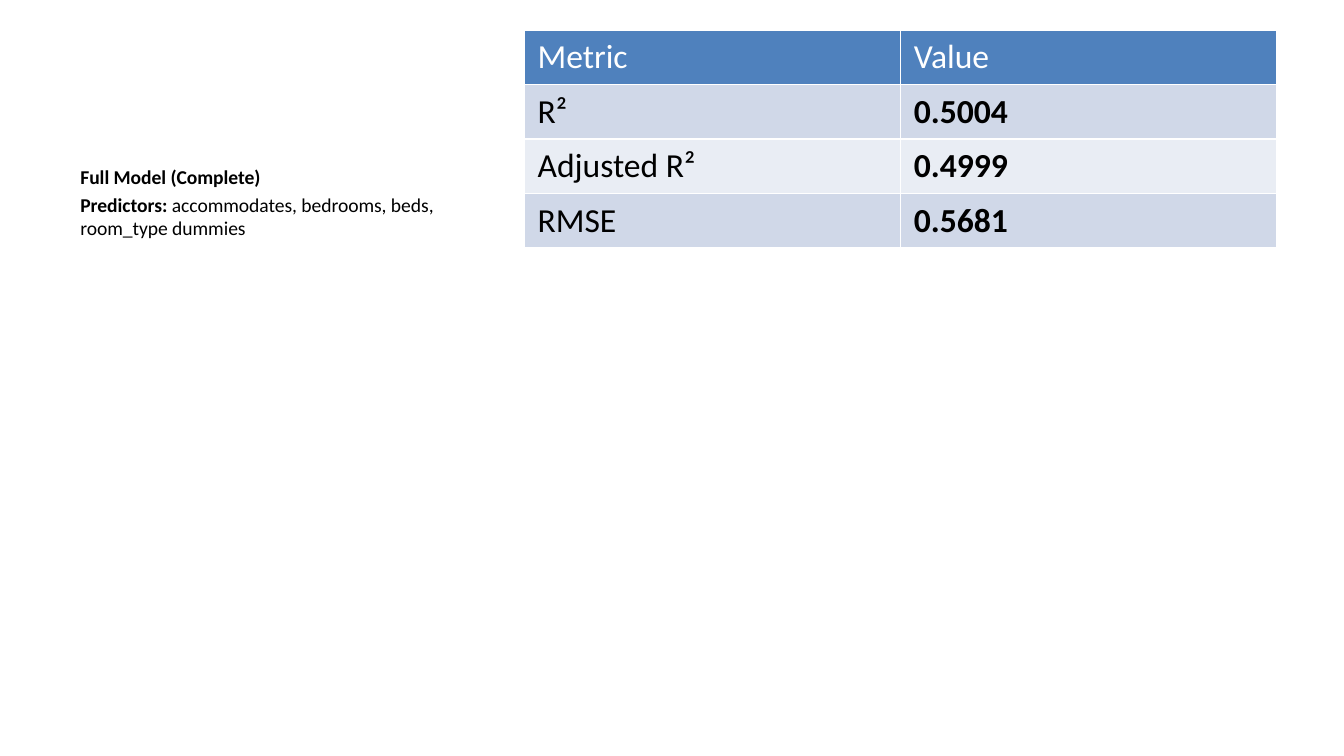
from pptx import Presentation
from pptx.dml.color import RGBColor
from pptx.enum.text import MSO_ANCHOR
from pptx.util import Inches, Pt

TOP = MSO_ANCHOR.TOP
WIDTH = Inches(10)
HEIGHT = WIDTH * 9 // 16
ROW_HEIGHT = HEIGHT * 72 // 1000
HEADER_FILL, BAND_FILLS = "4F81BD", ("D0D8E8", "E9EDF4")
BLACK, WHITE = "000000", "FFFFFF"

DESCRIPTION = [
    [("Full Model (Complete)", True)],
    [("Predictors:", True),
     (" accommodates, bedrooms, beds, room_type dummies", False)],
]
METRICS = [
    ("Metric", "Value"),
    ("R²", "0.5004"),
    ("Adjusted R²", "0.4999"),
    ("RMSE", "0.5681"),
]


def rgb(hex_color):
    return RGBColor.from_string(hex_color)


def add_run(paragraph, text, size, color, bold):
    run = paragraph.add_run()
    run.text = text
    font_format = {"name": "Calibri", "size": Pt(size), "bold": bold}
    for name, value in font_format.items():
        setattr(run.font, name, value)
    run.font.color.rgb = rgb(color)


def add_description(slide, left, top, width, height):
    box = slide.shapes.add_textbox(
        int(WIDTH * left), int(HEIGHT * top), int(WIDTH * width), int(HEIGHT * height))
    frame = box.text_frame
    for name, value in {"word_wrap": True, "vertical_anchor": TOP}.items():
        setattr(frame, name, value)
    for index, runs in enumerate(DESCRIPTION):
        paragraph = frame.add_paragraph() if index else frame.paragraphs[0]
        paragraph.space_before = Pt(2 if index else 0)
        for text, bold in runs:
            add_run(paragraph, text, 10.5, BLACK, bold)


def add_metrics(slide, left, top, width):
    """Add the metrics table with a plain header and bold values in banded rows."""
    table = slide.shapes.add_table(
        len(METRICS), len(METRICS[0]), int(WIDTH * left), int(HEIGHT * top),
        int(WIDTH * width), ROW_HEIGHT * len(METRICS)).table
    for row, texts in enumerate(METRICS):
        header = row == 0
        fill = HEADER_FILL if header else BAND_FILLS[(row - 1) % 2]
        for column, text in enumerate(texts):
            cell = table.cell(row, column)
            cell.fill.solid()
            cell.fill.fore_color.rgb = rgb(fill)
            add_run(cell.text_frame.paragraphs[0], text, 18,
                    WHITE if header else BLACK, not header and column == 1)


def main():
    deck = Presentation()
    deck.slide_width, deck.slide_height = WIDTH, HEIGHT
    slide = deck.slides.add_slide(deck.slide_layouts[6])
    add_description(slide, 0.05, 0.21, 0.33, 0.68)
    add_metrics(slide, 0.39, 0.04, 0.56)
    deck.save("out.pptx")


if __name__ == "__main__":
    main()
